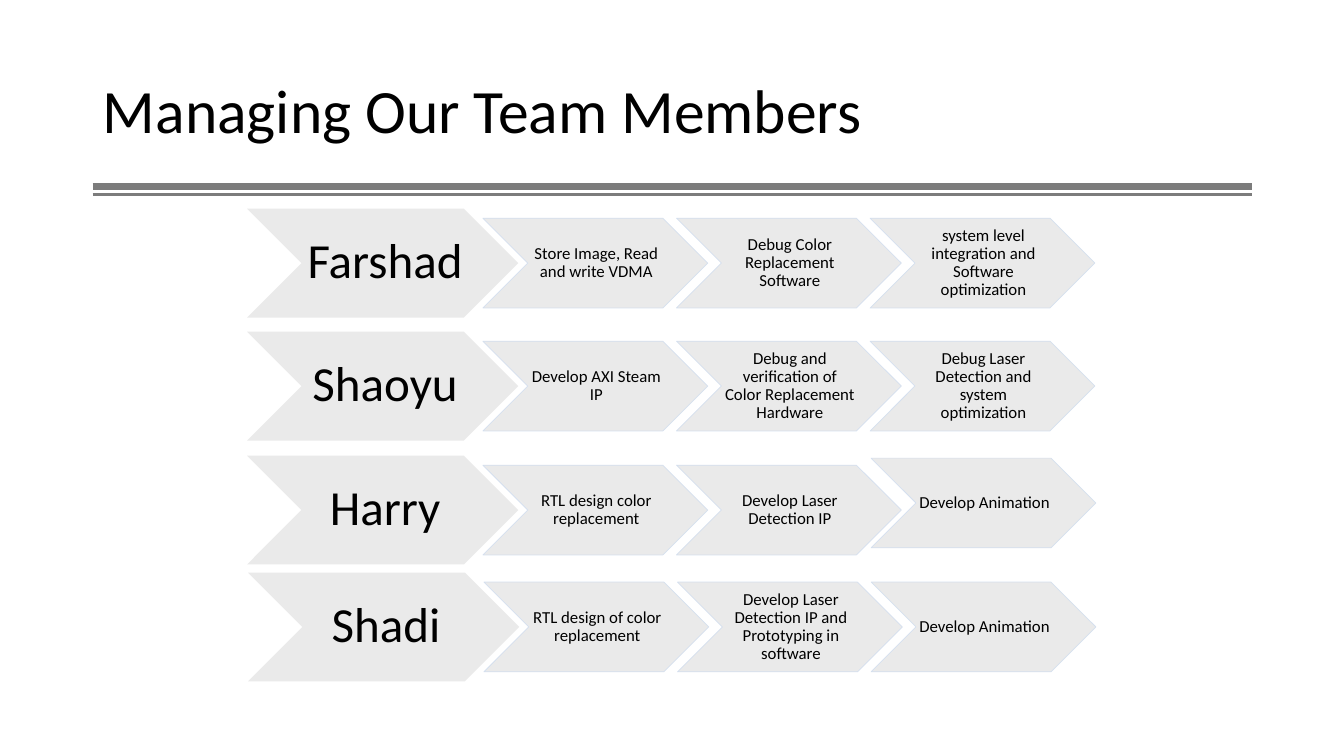
from lxml import etree
from pptx import Presentation
from pptx.dml.color import RGBColor
from pptx.enum.shapes import MSO_CONNECTOR, MSO_SHAPE
from pptx.enum.text import MSO_ANCHOR, MSO_AUTO_SIZE, PP_ALIGN
from pptx.oxml.ns import qn
from pptx.util import Inches, Pt

CHEVRON = MSO_SHAPE.CHEVRON
STRAIGHT = MSO_CONNECTOR.STRAIGHT
MIDDLE = MSO_ANCHOR.MIDDLE
NO_AUTOFIT = MSO_AUTO_SIZE.NONE
LEFT = PP_ALIGN.LEFT
CENTER = PP_ALIGN.CENTER

FONT = "Calibri"
COLORS = {
    "text": "000000",
    "rule": "7C7C7C",
    "chevron": "DBDBDB",
    "outline": "D2DEEF",
}

NAME_WIDTH, NAME_HEIGHT = 2.69, 1.08
TASK_WIDTH, TASK_HEIGHT = 2.23, 0.89
FIRST_TASK_OFFSET, TASK_STEP = 2.34, 1.92

TEAM = [
    ("Farshad", 2.45, 2.07, [
        "Store Image, Read and write VDMA",
        "Debug Color Replacement Software",
        "system level integration and Software optimization",
    ]),
    ("Shaoyu", 2.45, 3.29, [
        "Develop AXI Steam IP",
        "Debug and verification of Color Replacement Hardware",
        "Debug Laser Detection and system optimization",
    ]),
    ("Harry", 2.45, 4.52, [
        "RTL design color replacement",
        "Develop Laser Detection IP",
        "Develop Animation",
    ]),
    ("Shadi", 2.46, 5.68, [
        "RTL design of color replacement",
        "Develop Laser Detection IP and Prototyping in software",
        "Develop Animation",
    ]),
]
TASK_SHIFTS = {("Harry", 2): (0.01, -0.07)}


def color(name):
    return RGBColor.from_string(COLORS[name])


def set_opacity(format_element, percent):
    color_element = next(format_element.iter(qn("a:srgbClr")))
    etree.SubElement(color_element, qn("a:alpha"), val=str(percent * 1000))


def write_text(text_frame, text, size, alignment):
    text_frame.word_wrap = True
    text_frame.auto_size = NO_AUTOFIT
    text_frame.vertical_anchor = MIDDLE
    paragraph = text_frame.paragraphs[0]
    paragraph.alignment = alignment
    paragraph.line_spacing = 0.9
    run = paragraph.add_run()
    run.text = text
    run.font.name = FONT
    run.font.size = Pt(size)
    run.font.color.rgb = color("text")


def add_title(slide, left, top, width, height):
    title = slide.shapes.title
    title.left, title.top = Inches(left), Inches(top)
    title.width, title.height = Inches(width), Inches(height)
    write_text(title.text_frame, "Managing Our Team Members", 44, LEFT)


def add_double_rule(slide, left, top, width):
    for offset, weight in ((0, 5), (0.08, 2.25)):
        y = Inches(top + offset)
        rule = slide.shapes.add_connector(
            STRAIGHT, Inches(left), y, Inches(left + width), y)
        rule.line.color.rgb = color("rule")
        rule.line.width = Pt(weight)
        etree.SubElement(rule._element.spPr, qn("a:effectLst"))


def add_chevron(slide, box, text, size, inset, outlined):
    shape = slide.shapes.add_shape(CHEVRON, *map(Inches, box))
    shape.shadow.inherit = False
    shape.fill.solid()
    shape.fill.fore_color.rgb = color("chevron")
    set_opacity(shape._element.spPr.find(qn("a:solidFill")), 58)
    if outlined:
        shape.line.color.rgb = color("outline")
        shape.line.width = Pt(0.5)
        set_opacity(shape._element.spPr.find(qn("a:ln")), 90)
    else:
        shape.line.fill.background()
    text_frame = shape.text_frame
    text_frame.margin_left = Inches(inset)
    text_frame.margin_right = 0
    text_frame.margin_top = text_frame.margin_bottom = Inches(inset / 2)
    write_text(text_frame, text, size, CENTER)


def add_member_row(slide, left, top, name, tasks):
    add_chevron(slide, (left, top, NAME_WIDTH, NAME_HEIGHT), name, 35, 0.05, False)
    task_top = top + (NAME_HEIGHT - TASK_HEIGHT) / 2
    for index, task in enumerate(tasks):
        shift_x, shift_y = TASK_SHIFTS.get((name, index), (0, 0))
        task_left = left + FIRST_TASK_OFFSET + index * TASK_STEP
        box = (task_left + shift_x, task_top + shift_y, TASK_WIDTH, TASK_HEIGHT)
        add_chevron(slide, box, task, 12, 0.02, True)


def build_team_slide(presentation):
    slide = presentation.slides.add_slide(presentation.slide_layouts[5])
    add_double_rule(slide, 0.92, 1.85, 11.5)
    add_title(slide, 0.92, 0.4, 11.5, 1.45)
    for name, left, top, tasks in TEAM:
        add_member_row(slide, left, top, name, tasks)


presentation = Presentation()
presentation.slide_width = Inches(13.33)
presentation.slide_height = Inches(7.5)
build_team_slide(presentation)
presentation.save("out.pptx")
